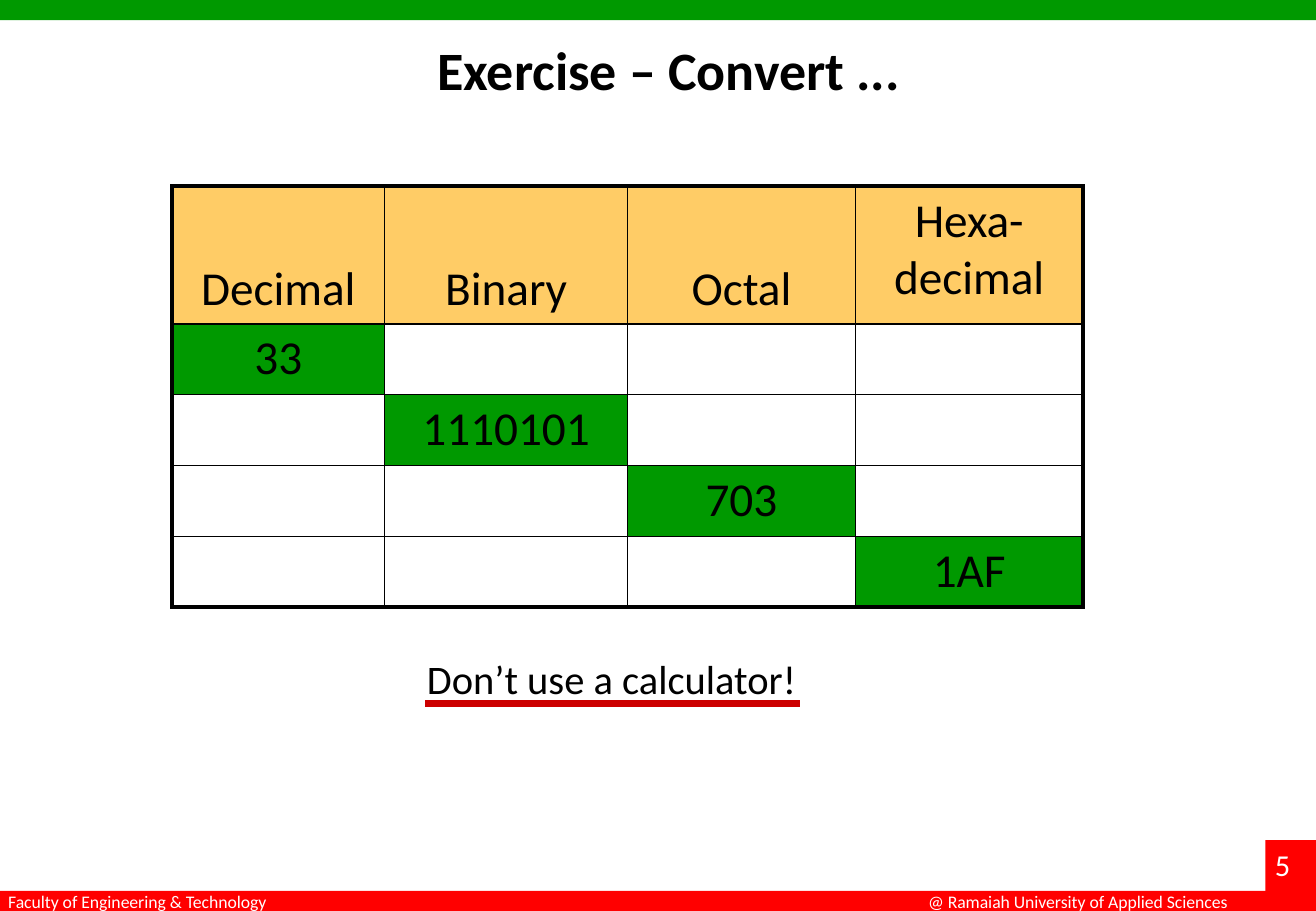
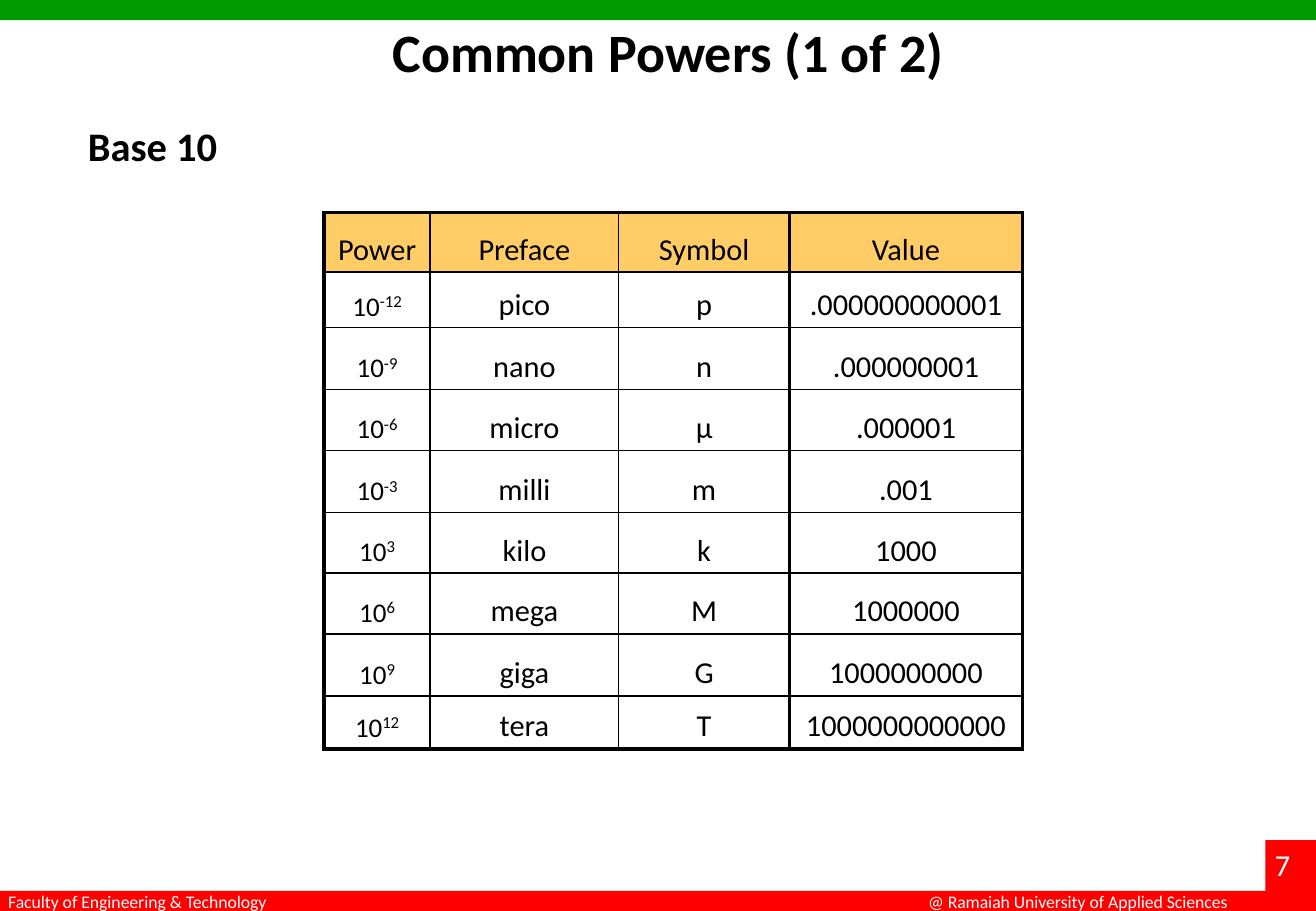
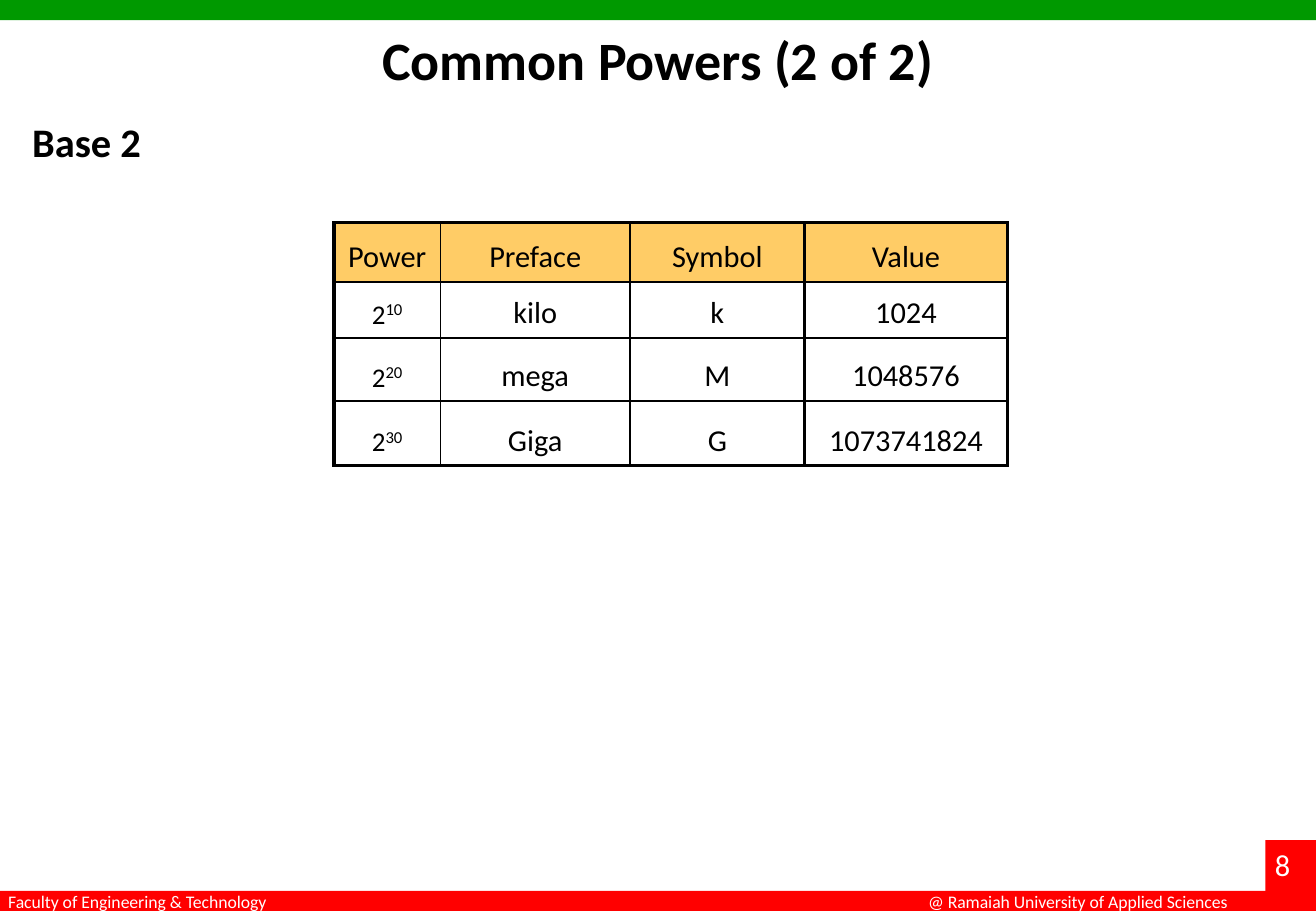
from dataclasses import dataclass
from typing import Any

from lxml import etree
from pptx import Presentation
from pptx.dml.color import RGBColor
from pptx.enum.shapes import MSO_CONNECTOR, MSO_SHAPE
from pptx.enum.text import MSO_ANCHOR, PP_ALIGN
from pptx.oxml.ns import qn
from pptx.util import Emu, Pt

PX = 9525
SLIDE_WIDTH, SLIDE_HEIGHT = 1040, 720
BAND_HEIGHT = 16

GREEN = RGBColor(0x00, 0x99, 0x00)
RED = RGBColor(0xFF, 0x00, 0x00)
DARK_RED = RGBColor(0xCC, 0x00, 0x00)
AMBER = RGBColor(0xFF, 0xCC, 0x66)
BLACK = RGBColor(0x00, 0x00, 0x00)
WHITE = RGBColor(0xFF, 0xFF, 0xFF)

RECTANGLE = MSO_SHAPE.RECTANGLE
STRAIGHT = MSO_CONNECTOR.STRAIGHT
LEFT, CENTER = PP_ALIGN.LEFT, PP_ALIGN.CENTER
TOP, BOTTOM = MSO_ANCHOR.TOP, MSO_ANCHOR.BOTTOM

FONT = "Calibri"
TITLE = {"size": Pt(32), "bold": True}
SUBTITLE = {"size": Pt(24), "bold": True}
REMARK = {"size": Pt(24)}
FOOTER = {"size": Pt(10.5), "color": WHITE}
PAGE_NUMBER = {"size": Pt(18), "color": WHITE}
POWER_BASE = {"size": Pt(16)}
POWER_EXPONENT = {"size": Pt(17)}

OUTER_BORDER, INNER_BORDER = Pt(2.25), Pt(1)


@dataclass(frozen=True)
class Box:
    left: int
    top: int
    width: int
    height: int

    def emu(self) -> tuple[Emu, ...]:
        return tuple(Emu(value * PX) for value in
                     (self.left, self.top, self.width, self.height))


@dataclass(frozen=True)
class Band:
    box: Box
    color: RGBColor


@dataclass(frozen=True)
class Label:
    text: str
    box: Box
    style: dict[str, Any]
    alignment: PP_ALIGN = LEFT


@dataclass(frozen=True)
class Grid:
    left: int
    top: int
    columns: list[int]
    rows: list[int]
    cells: list[list[str]]
    size: int = 18
    line_spacing: float = 1.0
    header_anchor: MSO_ANCHOR = BOTTOM
    body_anchor: MSO_ANCHOR = BOTTOM
    body_fill: RGBColor | None = None


BANDS = [
    Band(Box(0, 0, SLIDE_WIDTH, BAND_HEIGHT), GREEN),
    Band(Box(0, SLIDE_HEIGHT - BAND_HEIGHT, SLIDE_WIDTH, BAND_HEIGHT), RED),
    Band(Box(1000, 664, 40, 56), RED),
]
FOOTERS = [
    Label("@ Ramaiah University of Applied Sciences", Box(724, 699, 276, 27), FOOTER),
    Label("Faculty of Engineering & Technology", Box(-3, 699, 250, 27), FOOTER),
]
PAGE_NUMBER_BOX = Box(998, 664, 42, 38)

CONVERSIONS = [
    ["Decimal", "Binary", "Octal", "Hexa-\vdecimal"],
    ["33", "", "", ""],
    ["", "1110101", "", ""],
    ["", "", "703", ""],
    ["", "", "", "1AF"],
]
POWER_HEADER = ["Power", "Preface", "Symbol", "Value"]
POWERS_OF_10 = [
    POWER_HEADER,
    ["10^-12", "pico", "p", ".000000000001"],
    ["10^-9", "nano", "n", ".000000001"],
    ["10^-6", "micro", "μ", ".000001"],
    ["10^-3", "milli", "m", ".001"],
    ["10^3", "kilo", "k", "1000"],
    ["10^6", "mega", "M", "1000000"],
    ["10^9", "giga", "G", "1000000000"],
    ["10^12", "tera", "T", "1000000000000"],
]
POWERS_OF_2 = [
    POWER_HEADER,
    ["2^10", "kilo", "k", "1024"],
    ["2^20", "mega", "M", "1048576"],
    ["2^30", "Giga", "G", "1073741824"],
]


def format_font(font: Any, style: dict[str, Any]) -> None:
    values = {"name": FONT, "color": BLACK, **style}
    font.color.rgb = values.pop("color")
    for name, value in values.items():
        setattr(font, name, value)


def add_band(slide: Any, band: Band) -> None:
    shape = slide.shapes.add_shape(RECTANGLE, *band.box.emu())
    shape.shadow.inherit = False
    shape.fill.solid()
    shape.fill.fore_color.rgb = band.color
    shape.line.fill.background()


def add_label(slide: Any, label: Label) -> None:
    frame = slide.shapes.add_textbox(*label.box.emu()).text_frame
    frame.word_wrap = True
    paragraph = frame.paragraphs[0]
    paragraph.alignment = label.alignment
    run = paragraph.add_run()
    run.text = label.text
    format_font(run.font, label.style)


def add_underline(slide: Any, left: int, right: int, y: int) -> None:
    connector = slide.shapes.add_connector(
        STRAIGHT, *(Emu(value * PX) for value in (left, y, right, y)))
    connector.line.color.rgb = DARK_RED
    connector.line.width = Pt(4.5)
    properties = connector._element.spPr
    etree.SubElement(properties, qn("a:effectLst"))


def set_borders(cell: Any, widths: dict[str, int]) -> None:
    """Draw the cell's edges; must run before the cell gets its fill."""
    properties = cell._tc.get_or_add_tcPr()
    for edge, width in widths.items():
        line = etree.SubElement(properties, qn(f"a:ln{edge}"), w=str(width))
        fill = etree.SubElement(line, qn("a:solidFill"))
        etree.SubElement(fill, qn("a:srgbClr"), val=str(BLACK))


def write_cell(cell: Any, text: str, grid: Grid) -> None:
    """Write text, raising whatever follows a caret as an exponent."""
    base, _, exponent = text.partition("^")
    paragraph = cell.text_frame.paragraphs[0]
    paragraph.alignment = CENTER
    paragraph.line_spacing = grid.line_spacing
    paragraph.text = base
    style = POWER_BASE if exponent else {"size": Pt(grid.size)}
    for run in paragraph.runs:
        format_font(run.font, style)
    if exponent:
        run = paragraph.add_run()
        run.text = exponent
        format_font(run.font, POWER_EXPONENT)
        run._r.get_or_add_rPr().set("baseline", "30000")


def add_grid(slide: Any, grid: Grid) -> None:
    box = Box(grid.left, grid.top, sum(grid.columns), sum(grid.rows))
    table = slide.shapes.add_table(
        len(grid.rows), len(grid.columns), *box.emu()).table
    table.first_row = table.horz_banding = False
    for column, width in zip(table.columns, grid.columns):
        column.width = Emu(width * PX)
    for row, height in zip(table.rows, grid.rows):
        row.height = Emu(height * PX)

    last_row, last_column = len(grid.rows) - 1, len(grid.columns) - 1
    for i, texts in enumerate(grid.cells):
        for j, text in enumerate(texts):
            cell = table.cell(i, j)
            on_rim = {"L": j == 0, "R": j == last_column,
                      "T": i == 0, "B": i == last_row}
            set_borders(cell, {edge: OUTER_BORDER if outer else INNER_BORDER
                               for edge, outer in on_rim.items()})
            color = AMBER if i == 0 else grid.body_fill if text else None
            if color is None:
                cell.fill.background()
            else:
                cell.fill.solid()
                cell.fill.fore_color.rgb = color
            two_lines = "\v" in text
            cell.vertical_anchor = (grid.header_anchor if i == 0 and not two_lines
                                    else grid.body_anchor)
            write_cell(cell, text, grid)


def add_power_grids(slide: Any, left: int, top: int, columns: list[int],
                    rows: list[int], cells: list[list[str]],
                    line_spacing: float) -> None:
    """Set the value column as a table of its own beside the other columns."""
    value_left = left + sum(columns[:-1])
    for x, part in ((left, slice(None, -1)), (value_left, slice(-1, None))):
        add_grid(slide, Grid(x, top, columns[part], rows,
                             [texts[part] for texts in cells],
                             line_spacing=line_spacing))


def add_slide(presentation: Any, number: int, labels: list[Label]) -> Any:
    slide = presentation.slides.add_slide(presentation.slide_layouts[6])
    for band in BANDS:
        add_band(slide, band)
    page_number = Label(str(number), PAGE_NUMBER_BOX, PAGE_NUMBER)
    for label in [*FOOTERS, page_number, *labels]:
        add_label(slide, label)
    return slide


def main() -> None:
    presentation = Presentation()
    presentation.slide_width = Emu(SLIDE_WIDTH * PX)
    presentation.slide_height = Emu(SLIDE_HEIGHT * PX)

    exercise = add_slide(presentation, 5, [
        Label("Exercise – Convert ...", Box(336, 24, 420, 61), TITLE),
        Label("Don’t use a calculator!", Box(328, 512, 340, 48), REMARK),
    ])
    add_underline(exercise, 336, 632, 556)
    add_grid(exercise, Grid(136, 147, [168, 192, 180, 180], [109] + [56] * 4,
                            CONVERSIONS, size=28, body_anchor=TOP,
                            body_fill=GREEN))

    base_10 = add_slide(presentation, 7, [
        Label("Common Powers (1 of 2)", Box(60, 10, 936, 120), TITLE, CENTER),
        Label("Base 10", Box(60, 91, 140, 48), SUBTITLE),
    ])
    add_power_grids(base_10, 256, 168, [84, 149, 135, 184],
                    [47, 44, 49, 48, 49, 48, 48, 49, 42], POWERS_OF_10, 0.8)

    base_2 = add_slide(presentation, 8, [
        Label("Common Powers (2 of 2)", Box(52, 16, 936, 120), TITLE, CENTER),
        Label("Base 2", Box(16, 88, 140, 48), SUBTITLE),
    ])
    add_power_grids(base_2, 264, 176, [84, 150, 138, 160],
                    [47, 44, 50, 51], POWERS_OF_2, 1.0)

    presentation.save("out.pptx")


if __name__ == "__main__":
    main()
